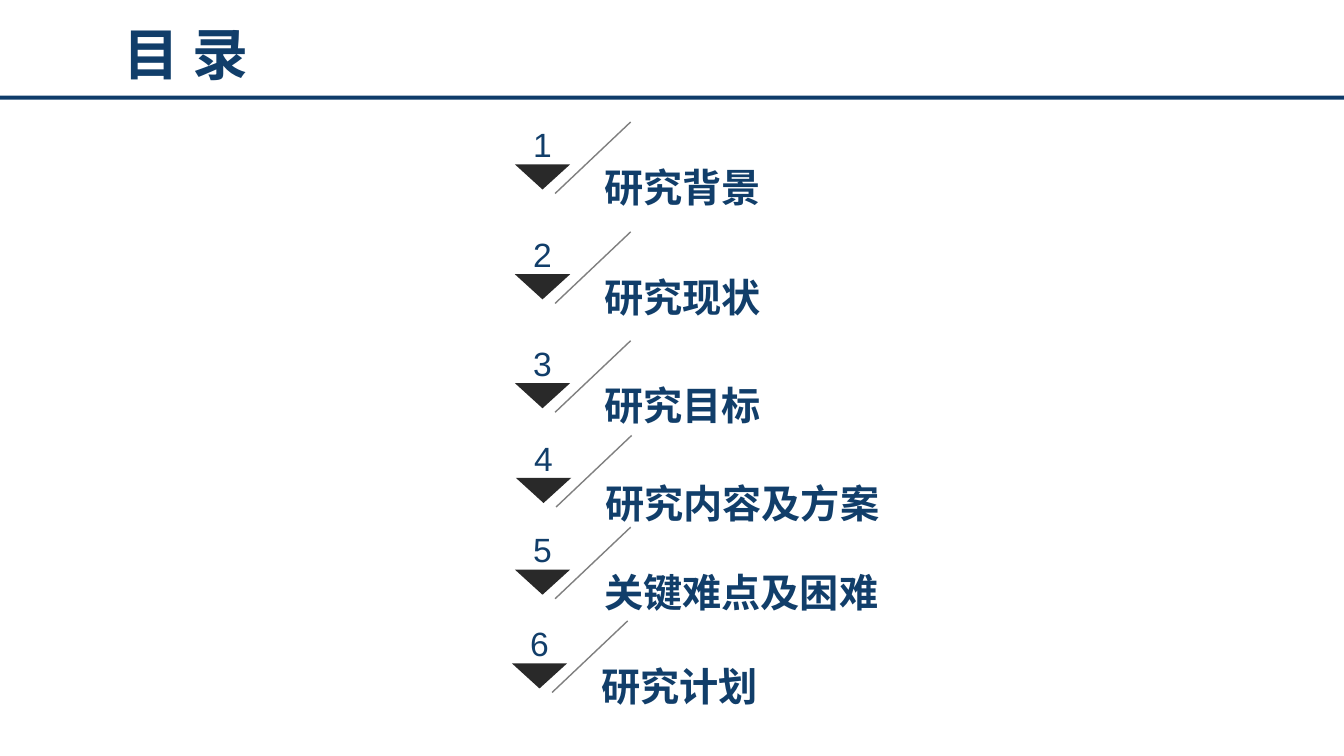
import pptx
import pptx.util
import pptx.dml.color
import pptx.enum.shapes
import pptx.enum.text
import pptx.oxml.ns
import lxml.etree

Inches = pptx.util.Inches
ANCHOR = pptx.enum.text.MSO_ANCHOR
ALIGN = pptx.enum.text.PP_ALIGN
CJK = "Noto Sans CJK SC"
NAVY = "113E6A"

AGENDA = [
    ("1", "研究背景", 5.11, 1.21, 0.32),
    ("2", "研究现状", 5.11, 2.3, 0.32),
    ("3", "研究目标", 5.11, 3.38, 0.32),
    ("4", "研究内容及方案", 5.12, 4.32, 0.35),
    ("5", "关键难点及困难", 5.11, 5.23, 0.32),
    ("6", "研究计划", 5.08, 6.16, 0.32),
]


def color(value):
    return pptx.dml.color.RGBColor.from_string(value)


def fill_plain(s, value):
    s.shadow.inherit = False
    s.fill.solid()
    s.fill.fore_color.rgb = color(value)
    s.line.fill.background()


def add_text(shapes, text, x, y, w, h, size, font, bold=False,
             anchor=ANCHOR.MIDDLE, align=ALIGN.LEFT, wrap=True, inset=None):
    s = shapes.add_textbox(Inches(x), Inches(y), Inches(w), Inches(h))
    tf = s.text_frame
    tf.word_wrap = wrap
    tf.vertical_anchor = anchor
    if inset is not None:
        tf.margin_left = tf.margin_right = Inches(inset)
        tf.margin_top = tf.margin_bottom = Inches(inset)
    p = tf.paragraphs[0]
    p.alignment = align
    r = p.add_run()
    r.text = text
    r.font.size = pptx.util.Pt(size)
    r.font.bold = bold
    r.font.color.rgb = color(NAVY)
    r.font.name = font
    ea = lxml.etree.SubElement(r.font._element, pptx.oxml.ns.qn("a:ea"))
    ea.set("typeface", font)
    return s


def add_slash(shapes, x1, y1, x2, y2):
    s = shapes.add_connector(pptx.enum.shapes.MSO_CONNECTOR.STRAIGHT,
                             Inches(x1), Inches(y1), Inches(x2), Inches(y2))
    s.line.color.rgb = color("7F7F7F")
    s.line.width = pptx.util.Pt(1)
    lxml.etree.SubElement(s._element.spPr, pptx.oxml.ns.qn("a:effectLst"))


def add_triangle(shapes, x, y, w, h):
    outline = shapes.build_freeform(Inches(x), Inches(y))
    outline.add_line_segments([(Inches(x + w), Inches(y)),
                               (Inches(x + w / 2), Inches(y + h))])
    fill_plain(outline.convert_to_shape(), "292929")


def add_agenda_item(slide, number, label, x, y, label_drop):
    shapes = slide.shapes.add_group_shape().shapes
    add_slash(shapes, x + 1.15, y, x + 0.4, y + 0.71)
    add_triangle(shapes, x, y + 0.42, 0.55, 0.25)
    add_text(shapes, label, x + 0.79, y + label_drop, 3.99, 0.64, 28, CJK, bold=True)
    add_text(shapes, number, x - 0.02, y - 0.15, 0.59, 0.57, 24, "Arial",
             anchor=ANCHOR.BOTTOM, align=ALIGN.CENTER, inset=0)


def main():
    prs = pptx.Presentation()
    prs.slide_width = Inches(13.34)
    prs.slide_height = Inches(7.5)
    slide = prs.slides.add_slide(prs.slide_layouts[6])
    rule = slide.shapes.add_shape(pptx.enum.shapes.MSO_SHAPE.RECTANGLE,
                                  0, Inches(0.95), prs.slide_width, Inches(0.04))
    fill_plain(rule, "0F3C6A")
    title = add_text(slide.shapes, "目 录", 1.13, 0.14, 1.48, 0.77, 40, CJK,
                     bold=True, anchor=ANCHOR.TOP, wrap=False)
    title.text_frame.auto_size = pptx.enum.text.MSO_AUTO_SIZE.SHAPE_TO_FIT_TEXT
    for item in AGENDA:
        add_agenda_item(slide, *item)
    prs.save("out.pptx")


if __name__ == "__main__":
    main()
